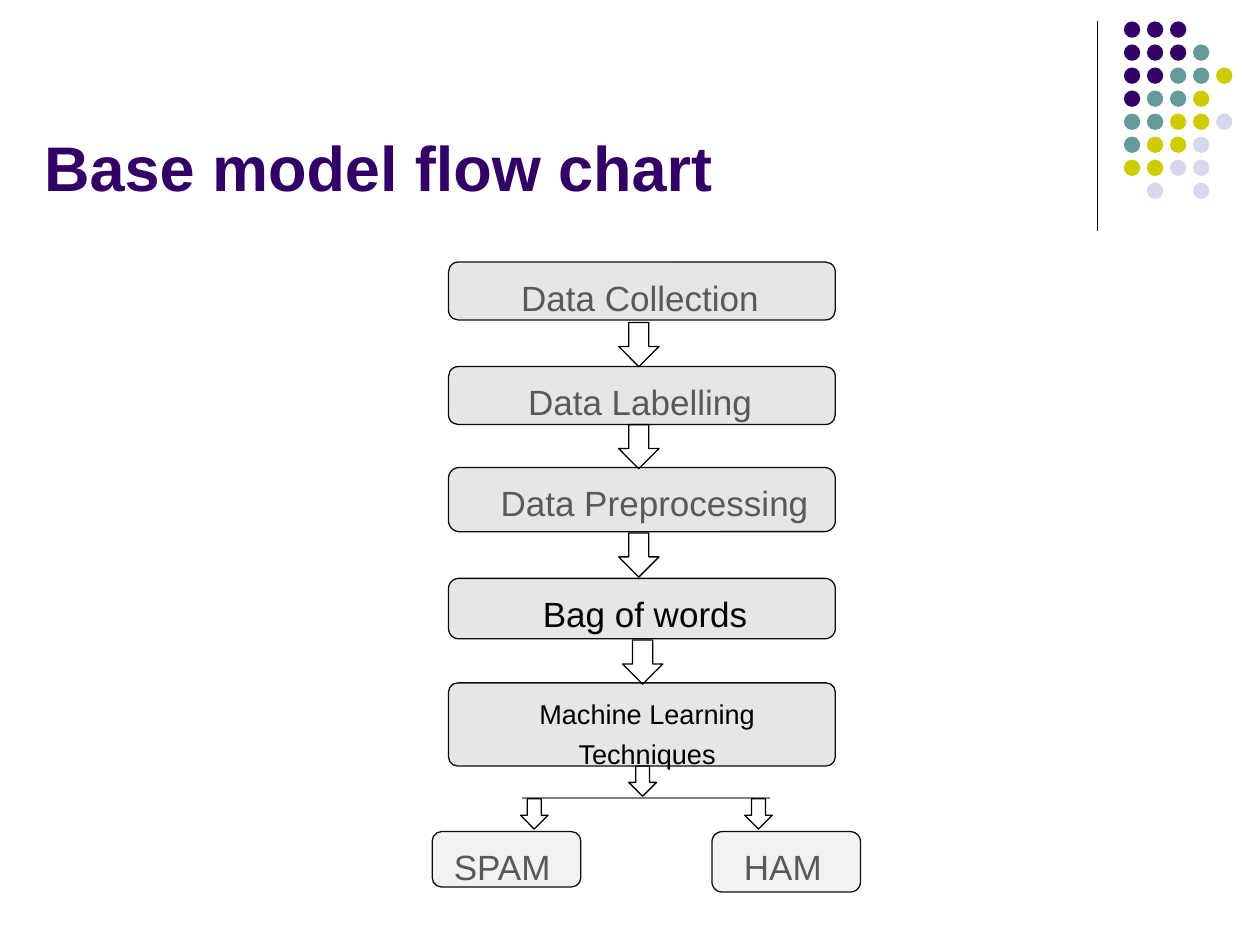
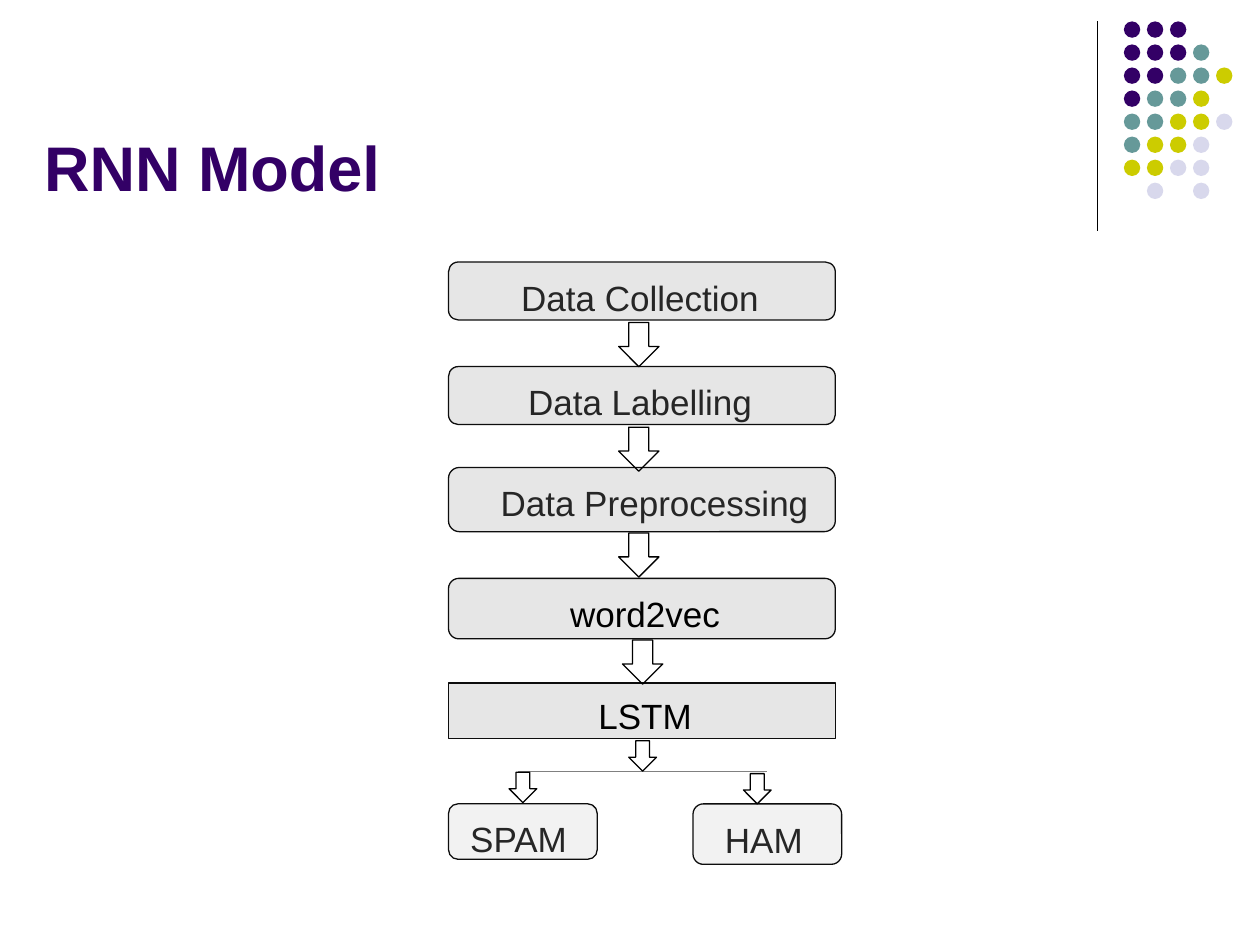
from lxml import etree
from pptx import Presentation
from pptx.dml.color import RGBColor
from pptx.enum.shapes import MSO_CONNECTOR, MSO_SHAPE
from pptx.enum.text import MSO_ANCHOR, MSO_AUTO_SIZE, PP_ALIGN
from pptx.oxml.ns import qn
from pptx.util import Inches, Pt

ROUNDED, ARROW = MSO_SHAPE.ROUNDED_RECTANGLE, MSO_SHAPE.DOWN_ARROW
MINUS, OVAL = MSO_SHAPE.MATH_MINUS, MSO_SHAPE.OVAL
STRAIGHT = MSO_CONNECTOR.STRAIGHT
LEFT, CENTER = PP_ALIGN.LEFT, PP_ALIGN.CENTER
TOP, BOTTOM = MSO_ANCHOR.TOP, MSO_ANCHOR.BOTTOM
NO_AUTOFIT = MSO_AUTO_SIZE.NONE

FONT = "Arial"
PURPLE, BLACK, GRAY = "330066", "000000", "808080"
STEP_FILL, RESULT_FILL, BOX_LINE = "E6E6E6", "F2F2F2", "0D0D0D"

DOT_COLORS = {"P": PURPLE, "T": "669999", "Y": "CCCC00", "L": "D8D8EC"}
DOT_ROWS = ["PPP", "PPPT", "PPTTY", "PTTY", "TTYYL", "TYYL", "YYLL", " L L"]
DOT_LEFT, DOT_TOP, DOT_SIZE, DOT_PITCH = 8.92, 0.17, 0.13, 1.28 / 7

STEP_LEFT, STEP_WIDTH = 3.56, 3.07
RESULT_WIDTH = 1.18
BIG_ARROW, SMALL_ARROW = (0.32, 0.35), (0.22, 0.24)


def rgb(value):
    return RGBColor.from_string(value)


def set_attrs(obj, values):
    for name, value in values.items():
        setattr(obj, name, value)


def add_shape(shapes, kind, left, top, width, height, fill=None, line=None):
    sp = shapes.add_shape(kind, Inches(left), Inches(top), Inches(width), Inches(height))
    sp.shadow.inherit = False
    if fill:
        sp.fill.solid()
        sp.fill.fore_color.rgb = rgb(fill)
    else:
        sp.fill.background()
    if line:
        sp.line.color.rgb = rgb(line)
        sp.line.width = Pt(0.75)
    else:
        sp.line.fill.background()
    return sp


def add_text(p, text, size, color, bold=False):
    r = p.add_run()
    r.text = text
    set_attrs(r.font, {"name": FONT, "size": Pt(size), "bold": bold})
    r.font.color.rgb = rgb(color)


def add_box(slide, lines, left, top, width, height, color, fill=STEP_FILL,
            size=20, align=CENTER, inset=0.15, radius=0.17):
    sp = add_shape(slide.shapes, ROUNDED, left, top, width, height, fill, BOX_LINE)
    sp.adjustments[0] = radius
    tf = sp.text_frame
    set_attrs(tf, {"word_wrap": True, "vertical_anchor": TOP,
                   "margin_left": Inches(inset), "margin_right": Inches(0.1),
                   "margin_top": Inches(0.09), "margin_bottom": 0})
    for i, line in enumerate(lines):
        p = tf.add_paragraph() if i else tf.paragraphs[0]
        p.alignment = align
        p.space_before = Pt(4.5 if i else 0)
        add_text(p, line, size, color)


def add_arrow(slide, left, top, size=BIG_ARROW):
    add_shape(slide.shapes, ARROW, left, top, *size, line=BLACK)


def add_title(slide, text):
    sp = slide.shapes.title
    set_attrs(sp, {"left": Inches(0.25), "top": Inches(0.25),
                   "width": Inches(8.42), "height": Inches(1.42)})
    tf = sp.text_frame
    set_attrs(tf, {"word_wrap": True, "vertical_anchor": BOTTOM, "auto_size": NO_AUTOFIT})
    p = tf.paragraphs[0]
    p.alignment = LEFT
    add_text(p, text, 36, PURPLE, bold=True)


def decorate_layout(layout, slide):
    for ph in list(layout.placeholders)[1:]:
        ph.element.getparent().remove(ph.element)
    rule = slide.shapes.add_connector(STRAIGHT, Inches(8.71), Inches(0.17),
                                      Inches(8.71), Inches(1.83))
    rule.line.color.rgb = rgb(BLACK)
    rule.line.width = Pt(0.75)
    etree.SubElement(rule.element.spPr, qn("a:effectLst"))
    dots = slide.shapes.add_group_shape()
    for row, marks in enumerate(DOT_ROWS):
        for col, mark in enumerate(marks):
            if mark in DOT_COLORS:
                add_shape(dots.shapes, OVAL, DOT_LEFT + col * DOT_PITCH,
                          DOT_TOP + row * DOT_PITCH, DOT_SIZE, DOT_SIZE, DOT_COLORS[mark])
    for sp in (rule, dots):
        layout.shapes.element.append(sp.element)


def add_steps(slide, color, features, second_arrow_top):
    steps = [
        ("Data Collection", 2.08, 0.46, color, 0.07),
        ("Data Labelling", 2.91, 0.46, color, 0.07),
        ("Data Preprocessing", 3.71, 0.51, color, 0.3),
        (features, 4.59, 0.48, BLACK, 0.15),
    ]
    for text, top, height, text_color, inset in steps:
        add_box(slide, [text], STEP_LEFT, top, STEP_WIDTH, height, text_color, inset=inset)
    for left, top in [(4.91, 2.56), (4.91, second_arrow_top), (4.91, 4.23), (4.94, 5.08)]:
        add_arrow(slide, left, top)


def add_results(slide, color, top, spam_left, ham_left, bar, arrows):
    add_box(slide, ["SPAM"], spam_left, top, RESULT_WIDTH, 0.44, color,
            RESULT_FILL, align=LEFT)
    add_box(slide, ["HAM"], ham_left, top, RESULT_WIDTH, 0.48, color,
            RESULT_FILL, align=LEFT, inset=0.23)
    add_shape(slide.shapes, MINUS, *bar, 2.68, 0.05, fill=GRAY)
    for left, arrow_top in arrows:
        add_arrow(slide, left, arrow_top, SMALL_ARROW)


def main():
    prs = Presentation()
    prs.slide_width, prs.slide_height = Inches(10), Inches(7.5)
    layout = prs.slide_layouts[5]

    s = prs.slides.add_slide(layout)
    decorate_layout(layout, s)
    add_title(s, "Base model flow chart")
    add_box(s, ["Machine Learning", "Techniques"], STEP_LEFT, 5.42, STEP_WIDTH, 0.66,
            BLACK, size=15.5, inset=0.18, radius=0.11)
    add_steps(s, "595959", "Bag of words", 3.37)
    add_results(s, "595959", 6.6, 3.43, 5.65, (3.79, 6.31),
                [(4.13, 6.34), (5.91, 6.34), (4.99, 6.08)])

    s = prs.slides.add_slide(layout)
    add_title(s, "RNN Model")
    add_box(s, ["LSTM"], STEP_LEFT, 5.42, STEP_WIDTH, 0.44, BLACK, radius=0)
    add_steps(s, "262626", "word2vec", 3.39)
    add_results(s, "262626", 6.38, 3.56, 5.5, (3.76, 6.1),
                [(4.04, 6.13), (5.9, 6.14), (4.99, 5.88)])

    prs.save("out.pptx")


if __name__ == "__main__":
    main()
